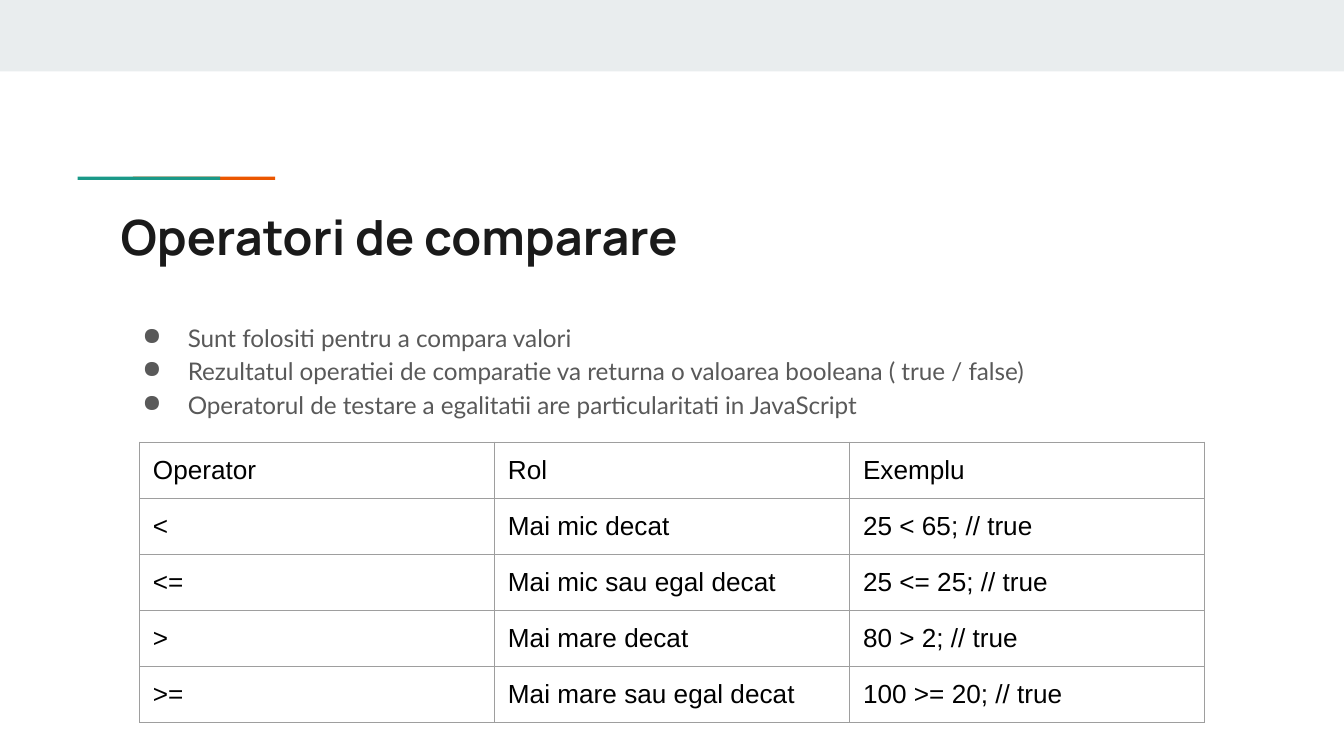
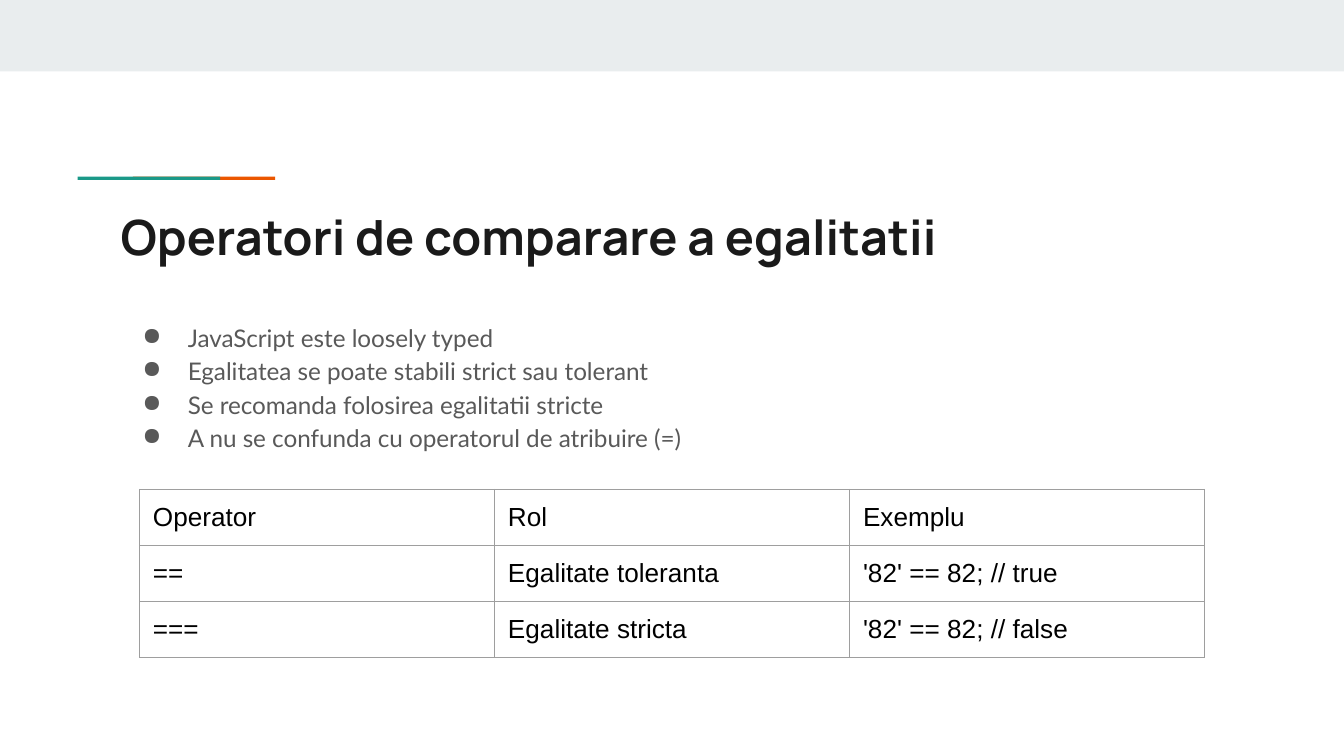
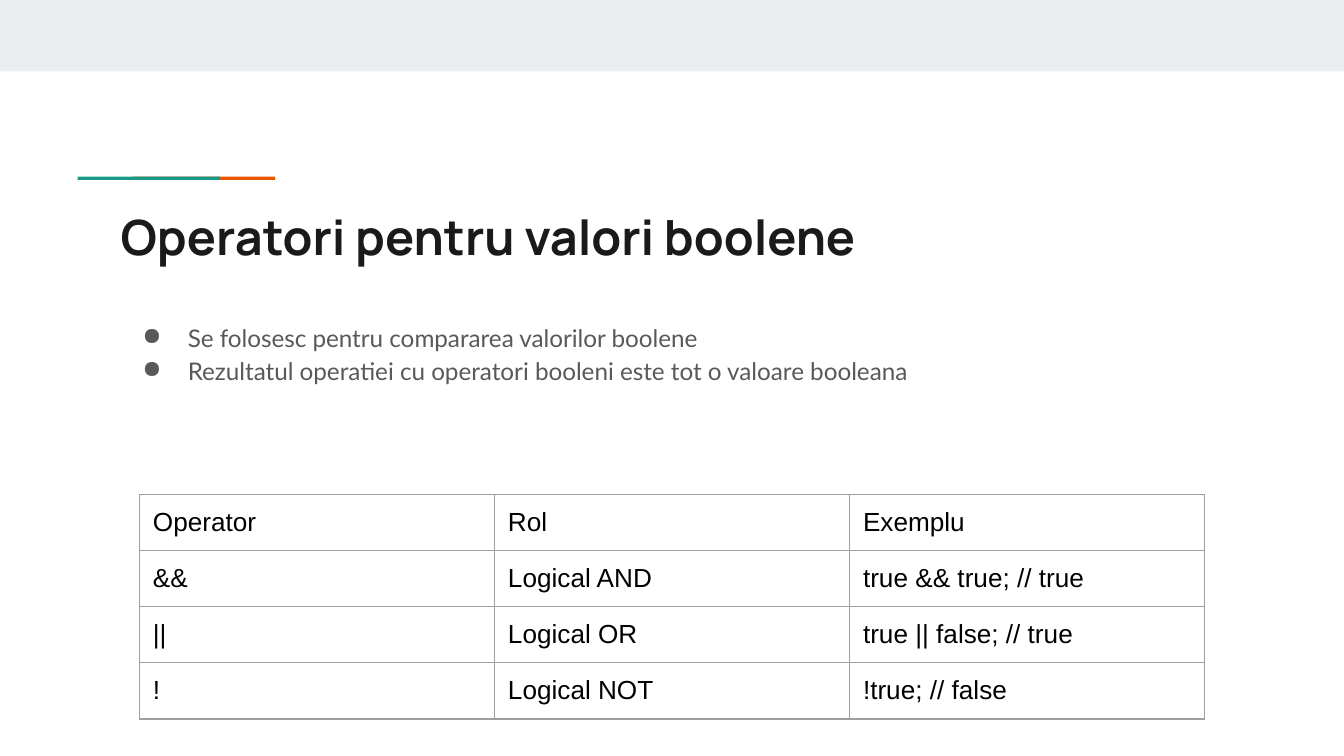
from lxml import etree
from pptx import Presentation
from pptx.dml.color import RGBColor
from pptx.enum import shapes, text
from pptx.oxml import ns
from pptx.util import Cm, Pt

HEADINGS = ("Operator", "Rol", "Exemplu")
LESSONS = [
    {
        "title": "Operatori de comparare",
        "points": [
            "Sunt folositi pentru a compara valori",
            "Rezultatul operatiei de comparatie va returna o valoarea booleana ( true / false)",
            "Operatorul de testare a egalitatii are particularitati in JavaScript",
        ],
        "points_height": 2.26,
        "operators_top": 8.36,
        "operators": [
            ("<", "Mai mic decat", "25 < 65; // true"),
            ("<=", "Mai mic sau egal decat", "25 <= 25; // true"),
            (">", "Mai mare decat", "80 > 2; // true"),
            (">=", "Mai mare sau egal decat", "100 >= 20; // true"),
        ],
    },
    {
        "title": "Operatori de comparare a egalitatii",
        "points": [
            "JavaScript este loosely typed",
            "Egalitatea se poate stabili strict sau tolerant",
            "Se recomanda folosirea egalitatii stricte",
            "A nu se confunda cu operatorul de atribuire (=)",
        ],
        "points_height": 3.15,
        "operators_top": 9.25,
        "operators": [
            ("==", "Egalitate toleranta", "'82' == 82; // true"),
            ("===", "Egalitate stricta", "'82' == 82; // false"),
        ],
    },
    {
        "title": "Operatori pentru valori boolene",
        "points": [
            "Se folosesc pentru compararea valorilor boolene",
            "Rezultatul operatiei cu operatori booleni este tot o valoare booleana",
        ],
        "points_height": 1.78,
        "operators_top": 9.35,
        "operators": [
            ("&&", "Logical AND", "true && true; // true"),
            ("||", "Logical OR", "true || false; // true"),
            ("!", "Logical NOT", "!true; // false"),
        ],
    },
]

WIDTH, HEIGHT = 25.4, 14.29
DECORATION = [
    (0, 0, WIDTH, 1.35, "E9EDEE"),
    (2.51, 3.34, 2.69, 0.06, "EB5600"),
    (1.47, 3.34, 2.69, 0.06, "1A9988"),
]
TEXT_LEFT, TEXT_WIDTH = 2.03, 21.36
TITLE_TOP, TITLE_HEIGHT = 3.66, 1.5
POINTS_TOP = 5.77
OPERATORS_LEFT, COLUMN_WIDTH, ROW_HEIGHT = 2.64, 6.71, 1.06
INSET = Cm(0.25)
INK, GREY, BORDER = "1A1A1A", "595959", "9E9E9E"


def colour(value):
    return RGBColor.from_string(value)


def set_font(paragraph, name, size, value, bold=False):
    font = paragraph.font
    font.name, font.size, font.bold = name, Pt(size), bold
    font.color.rgb = colour(value)


def set_insets(holder):
    holder.margin_left = holder.margin_right = INSET
    holder.margin_top = holder.margin_bottom = INSET


def add_child(parent, tag, **attributes):
    return etree.SubElement(parent, ns.qn(tag), **attributes)


def add_colour(parent, tag, value):
    add_child(add_child(parent, tag), "a:srgbClr", val=value)


def add_decoration(slide):
    for left, top, width, height, value in DECORATION:
        bar = slide.shapes.add_shape(
            shapes.MSO_SHAPE.RECTANGLE, Cm(left), Cm(top), Cm(width), Cm(height)
        )
        bar.shadow.inherit = False
        bar.fill.solid()
        bar.fill.fore_color.rgb = colour(value)
        bar.line.fill.background()


def prepare_frame(frame):
    set_insets(frame)
    frame.word_wrap = True
    frame.auto_size = text.MSO_AUTO_SIZE.NONE
    frame.vertical_anchor = text.MSO_ANCHOR.TOP


def place_title(slide, wording):
    title = slide.shapes.title
    title.left, title.top = Cm(TEXT_LEFT), Cm(TITLE_TOP)
    title.width, title.height = Cm(TEXT_WIDTH), Cm(TITLE_HEIGHT)
    prepare_frame(title.text_frame)
    title.text_frame.text = wording
    heading = title.text_frame.paragraphs[0]
    heading.alignment = text.PP_ALIGN.LEFT
    set_font(heading, "Manrope", 26, INK, bold=True)


def add_points(slide, points, height):
    frame = slide.shapes.add_textbox(
        Cm(TEXT_LEFT), Cm(POINTS_TOP), Cm(TEXT_WIDTH), Cm(height)
    ).text_frame
    prepare_frame(frame)
    frame.text = "\n".join(points)
    for point in frame.paragraphs:
        point.line_spacing = 1.15
        properties = point._p.get_or_add_pPr()
        properties.set("marL", str(Cm(1.27)))
        properties.set("indent", str(Cm(-0.86)))
        add_colour(properties, "a:buClr", GREY)
        add_child(properties, "a:buChar", char="●")
        set_font(point, "Lato", 13, GREY)


def format_cell(cell, wording):
    cell.text = wording
    set_insets(cell)
    set_font(cell.text_frame.paragraphs[0], "Arial", 14, "000000")
    properties = cell._tc.get_or_add_tcPr()
    for side in ("a:lnL", "a:lnR", "a:lnT", "a:lnB"):
        add_colour(
            add_child(properties, side, w=str(Pt(0.75))), "a:solidFill", BORDER
        )
    cell.fill.background()


def add_operators(slide, operators, top):
    rows = [HEADINGS, *operators]
    table = slide.shapes.add_table(
        len(rows), len(HEADINGS), Cm(OPERATORS_LEFT), Cm(top),
        Cm(COLUMN_WIDTH * len(HEADINGS)), Cm(ROW_HEIGHT * len(rows)),
    ).table
    table.first_row = table.horz_banding = False
    for column in table.columns:
        column.width = Cm(COLUMN_WIDTH)
    for row, wordings in zip(table.rows, rows):
        row.height = Cm(ROW_HEIGHT)
        for cell, wording in zip(row.cells, wordings):
            format_cell(cell, wording)


def main():
    deck = Presentation()
    deck.slide_width, deck.slide_height = Cm(WIDTH), Cm(HEIGHT)
    title_only = deck.slide_layouts[5]
    for lesson in LESSONS:
        slide = deck.slides.add_slide(title_only)
        add_decoration(slide)
        place_title(slide, lesson["title"])
        add_points(slide, lesson["points"], lesson["points_height"])
        add_operators(slide, lesson["operators"], lesson["operators_top"])
    deck.save("out.pptx")


if __name__ == "__main__":
    main()
